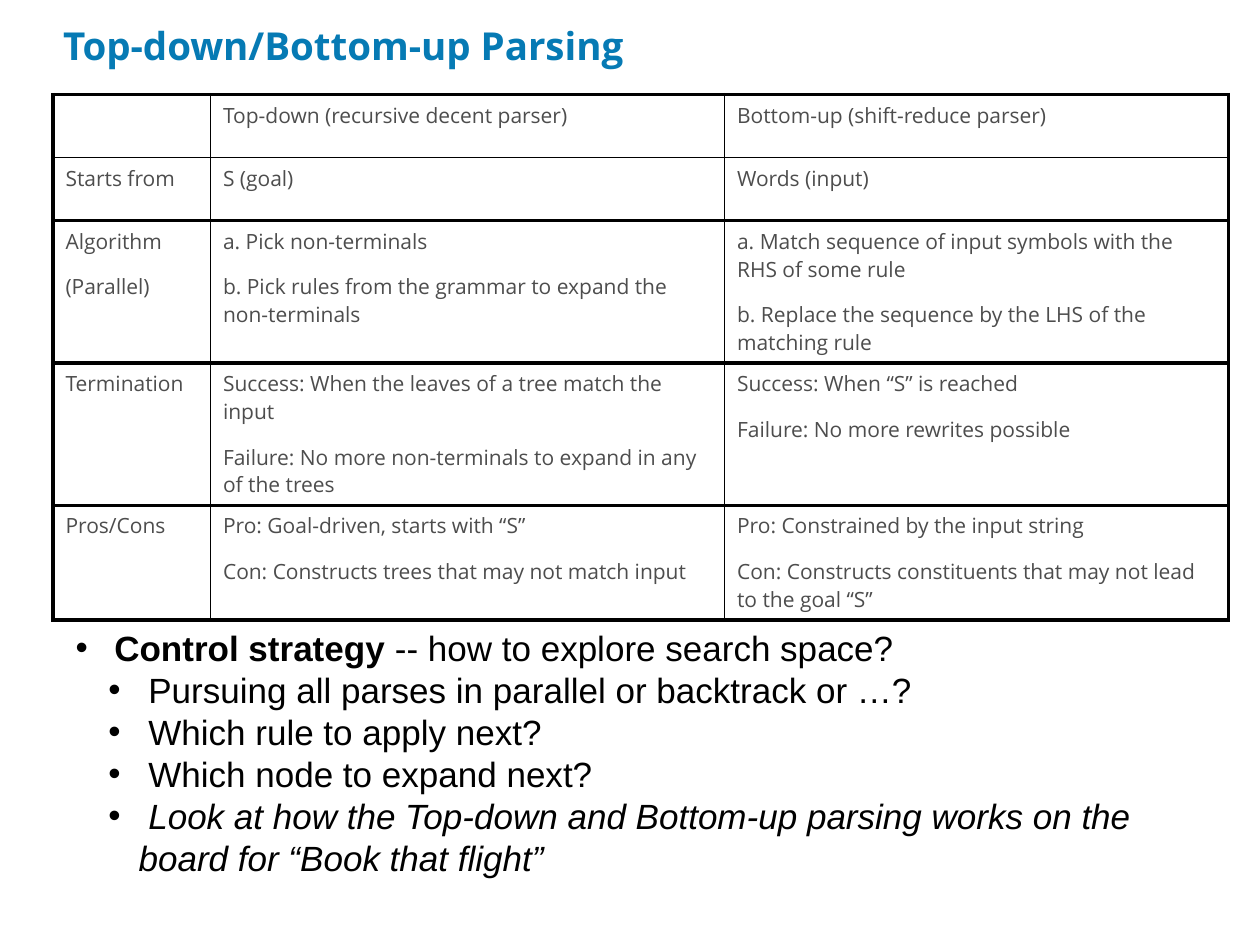
import pptx
import pptx.dml.color
import pptx.enum.text
import pptx.oxml
import pptx.oxml.ns
import pptx.util

Inches = pptx.util.Inches
Pt = pptx.util.Pt
RGBColor = pptx.dml.color.RGBColor

TITLE_BLUE = RGBColor(0x06, 0x7A, 0xB4)
TABLE_GRAY = RGBColor(0x4D, 0x4D, 0x4D)
BLACK = RGBColor(0x00, 0x00, 0x00)

TITLE_FONT = {"name": "Open Sans", "size": Pt(22), "bold": True}
TABLE_FONT = {"name": "Open Sans", "size": Pt(12), "bold": False}
LIST_FONT = {"name": "Arial", "size": Pt(20)}

TABLE_PARAGRAPH = {
    "line_spacing": 0.98,
    "space_before": Pt(5),
    "space_after": Pt(5),
}
LIST_PARAGRAPH = {
    "line_spacing": 1.0,
    "space_before": Pt(0),
    "space_after": Pt(0),
    "alignment": pptx.enum.text.PP_ALIGN.LEFT,
}
LIST_INDENTS = [(0.23, 0.23), (0.5, 0.24)]

THICK = Pt(2.25)
THIN = Pt(1)
COLUMN_WIDTHS = [1.25, 4.08, 4]
ROW_HEIGHTS = [0.5, 0.5, 1.13, 1.13, 0.91]

COMPARISON = [
    [[], ["Top-down (recursive decent parser)"], ["Bottom-up (shift-reduce parser)"]],
    [["Starts from"], ["S (goal)"], ["Words (input)"]],
    [
        ["Algorithm", "(Parallel)"],
        [
            "a. Pick non-terminals",
            "b. Pick rules from the grammar to expand the non-terminals",
        ],
        [
            "a. Match sequence of input symbols with the RHS of some rule",
            "b. Replace the sequence by the LHS of the matching rule",
        ],
    ],
    [
        ["Termination"],
        [
            "Success: When the leaves of a tree match the input",
            "Failure: No more non-terminals to expand in any of the trees",
        ],
        ["Success: When “S” is reached", "Failure: No more rewrites possible"],
    ],
    [
        ["Pros/Cons"],
        [
            "Pro: Goal-driven, starts with “S”",
            "Con: Constructs trees that may not match input",
        ],
        [
            "Pro: Constrained by the input string",
            "Con: Constructs constituents that may not lead to the goal “S”",
        ],
    ],
]

QUESTIONS = [
    (0, [
        (" ", {}),
        ("Control strategy", {"bold": True}),
        (" -- how to explore search space?", {}),
    ]),
    (1, [(" Pursuing all parses in parallel or backtrack or …?", {})]),
    (1, [(" Which rule to apply next?", {})]),
    (1, [(" Which node to expand next?", {})]),
    (1, [
        (" ", {}),
        (
            "Look at how the Top-down and Bottom-up parsing works on the board "
            "for “Book that flight”",
            {"italic": True},
        ),
    ]),
]


def set_attributes(target, values):
    for name, value in values.items():
        setattr(target, name, value)


def place(shape, left, top, width, height):
    set_attributes(shape, {
        "left": Inches(left),
        "top": Inches(top),
        "width": Inches(width),
        "height": Inches(height),
    })


def add_run(paragraph, text, font_values, color):
    run = paragraph.add_run()
    run.text = text
    set_attributes(run.font, font_values)
    run.font.color.rgb = color


def fill_title(title):
    place(title, 0.5, 0.17, 9, 0.7)
    set_attributes(title.text_frame, {
        "margin_left": 0,
        "margin_top": 0,
        "margin_right": 0,
        "margin_bottom": 0,
        "word_wrap": True,
        "auto_size": pptx.enum.text.MSO_AUTO_SIZE.NONE,
        "vertical_anchor": pptx.enum.text.MSO_ANCHOR.TOP,
    })
    paragraph = title.text_frame.paragraphs[0]
    set_attributes(paragraph, {
        "alignment": pptx.enum.text.PP_ALIGN.LEFT,
        "line_spacing": 1.02,
    })
    add_run(paragraph, "Top-down/Bottom-up Parsing", TITLE_FONT, TITLE_BLUE)


def set_borders(cell, widths):
    properties = cell._tc.get_or_add_tcPr()
    for position, (side, width) in enumerate(widths.items()):
        properties.insert(position, pptx.oxml.parse_xml(
            f'<a:ln{side} {pptx.oxml.ns.nsdecls("a")} w="{width}">'
            f'<a:solidFill><a:srgbClr val="{BLACK}"/></a:solidFill>'
            f'</a:ln{side}>'
        ))


def fill_cell(cell, lines):
    cell.fill.background()
    for index, line in enumerate(lines):
        frame = cell.text_frame
        paragraph = frame.add_paragraph() if index else frame.paragraphs[0]
        set_attributes(paragraph, TABLE_PARAGRAPH)
        add_run(paragraph, line, TABLE_FONT, TABLE_GRAY)


def add_comparison_table(slide):
    row_count, column_count = len(ROW_HEIGHTS), len(COLUMN_WIDTHS)
    table = slide.shapes.add_table(
        row_count, column_count, Inches(0.42), Inches(0.75),
        Inches(sum(COLUMN_WIDTHS)), Inches(sum(ROW_HEIGHTS)),
    ).table
    set_attributes(table, {"first_row": False, "horz_banding": False})
    for column, width in zip(table.columns, COLUMN_WIDTHS):
        column.width = Inches(width)
    for row, height in zip(table.rows, ROW_HEIGHTS):
        row.height = Inches(height)

    vertical = [THICK] + [THIN] * (column_count - 1) + [THICK]
    horizontal = [THICK, THIN] + [THICK] * (row_count - 1)
    for row, contents in enumerate(COMPARISON):
        for column, lines in enumerate(contents):
            cell = table.cell(row, column)
            fill_cell(cell, lines)
            set_borders(cell, {
                "L": vertical[column],
                "R": vertical[column + 1],
                "T": horizontal[row],
                "B": horizontal[row + 1],
            })


def set_bullet(paragraph, level):
    paragraph.level = level
    margin, hanging = LIST_INDENTS[level]
    properties = paragraph._p.get_or_add_pPr()
    properties.set("marL", str(Inches(margin)))
    properties.set("indent", str(-Inches(hanging)))
    for tag, attributes in (("buFont", 'typeface="Arial"'), ("buChar", 'char="•"')):
        properties.append(pptx.oxml.parse_xml(
            f'<a:{tag} {pptx.oxml.ns.nsdecls("a")} {attributes}/>'
        ))


def fill_questions(body):
    place(body, 0.5, 4.92, 9, 2.1)
    frame = body.text_frame
    set_attributes(frame, {
        "word_wrap": True,
        "auto_size": pptx.enum.text.MSO_AUTO_SIZE.SHAPE_TO_FIT_TEXT,
        "vertical_anchor": pptx.enum.text.MSO_ANCHOR.TOP,
    })
    for index, (level, runs) in enumerate(QUESTIONS):
        paragraph = frame.add_paragraph() if index else frame.paragraphs[0]
        set_attributes(paragraph, LIST_PARAGRAPH)
        set_bullet(paragraph, level)
        for text, emphasis in runs:
            add_run(paragraph, text, {**LIST_FONT, **emphasis}, BLACK)


def main():
    presentation = pptx.Presentation()
    presentation.slide_width = Inches(10)
    presentation.slide_height = Inches(7.5)
    slide = presentation.slides.add_slide(presentation.slide_layouts[1])
    fill_title(slide.shapes.title)
    add_comparison_table(slide)
    fill_questions(slide.placeholders[1])
    presentation.save("out.pptx")


if __name__ == "__main__":
    main()
